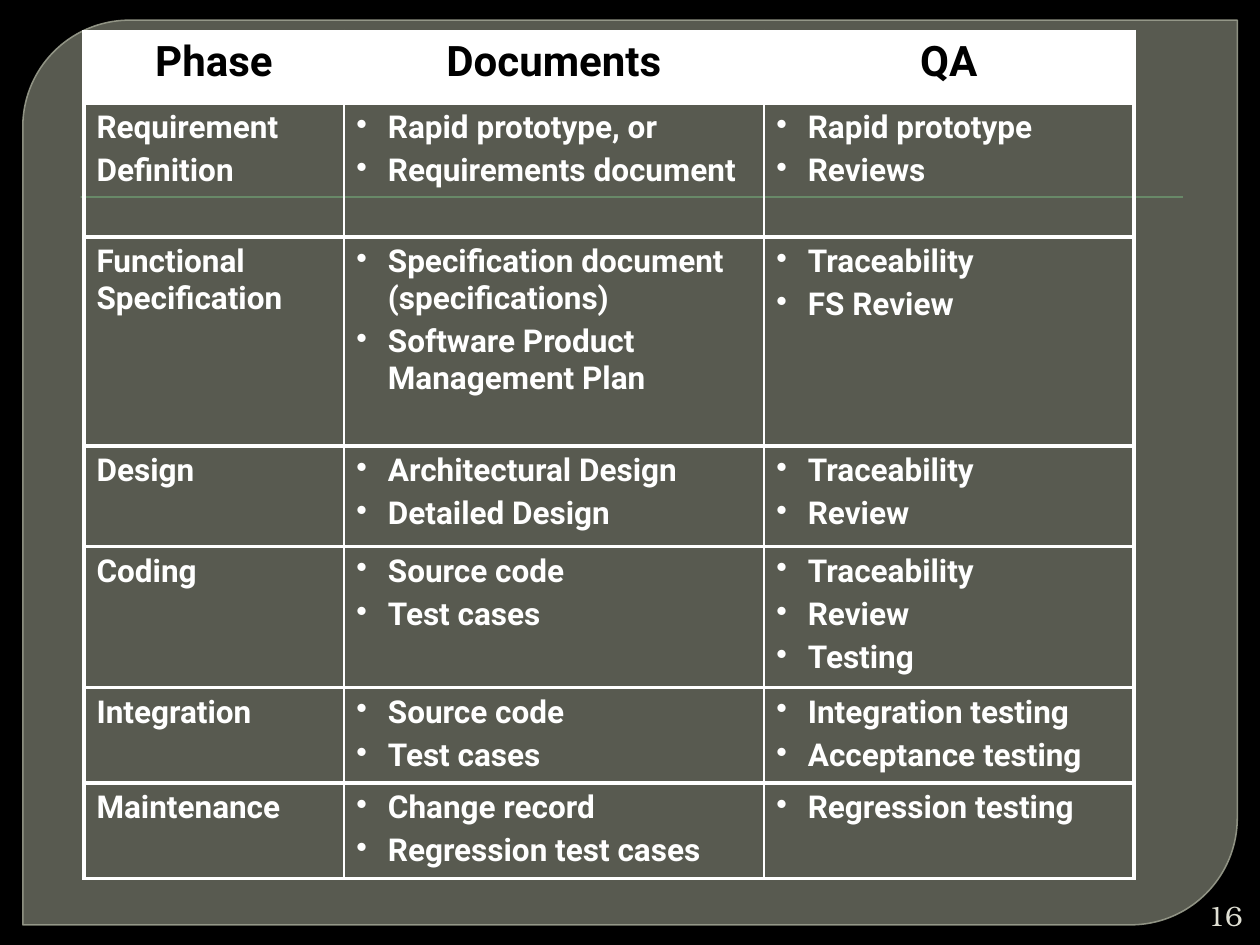
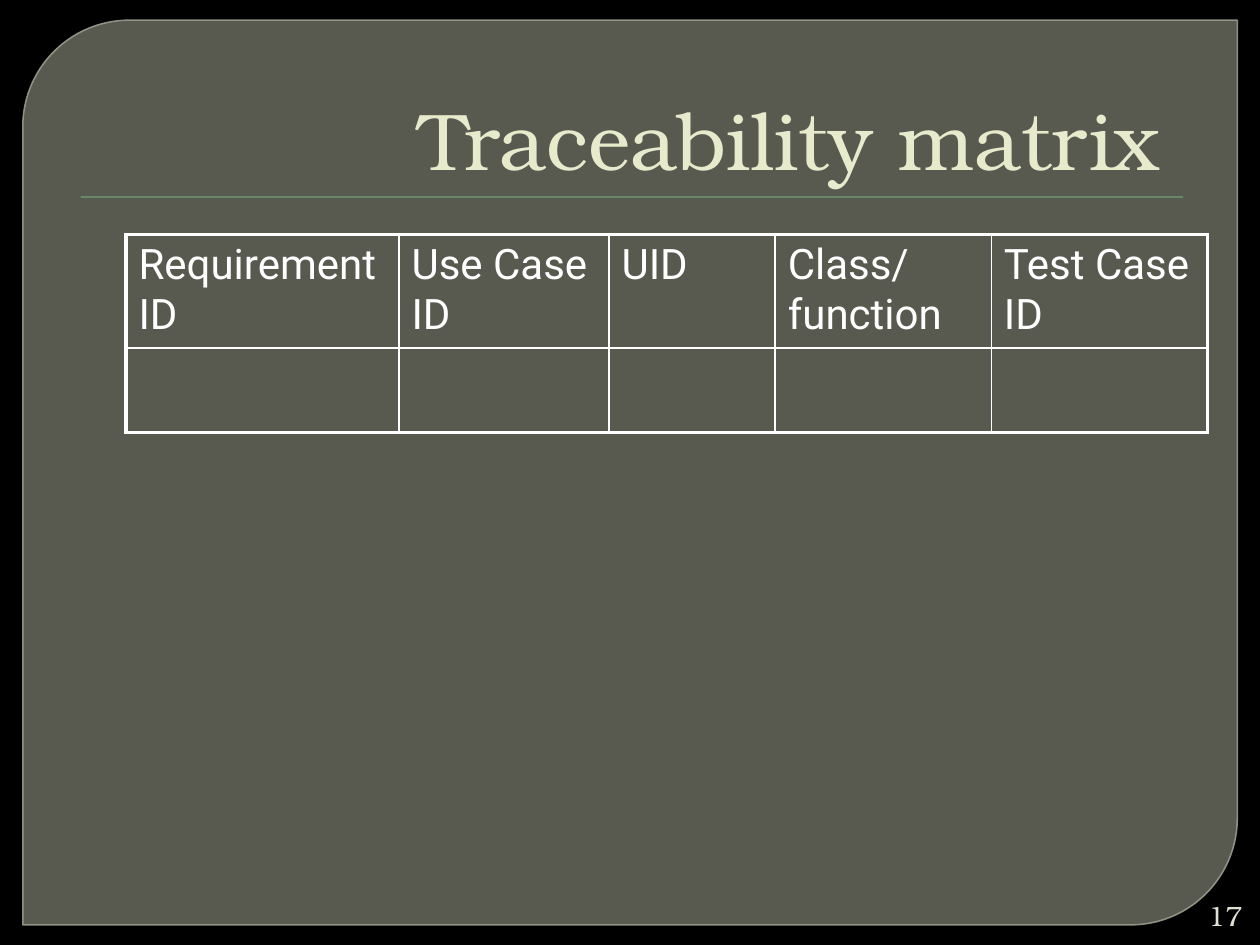
from lxml import etree
from pptx import Presentation
from pptx.dml.color import RGBColor
from pptx.enum.shapes import MSO_SHAPE
from pptx.enum.text import MSO_ANCHOR, MSO_AUTO_SIZE, PP_ALIGN
from pptx.oxml.ns import qn
from pptx.util import Pt

LEFT, CENTER, RIGHT = PP_ALIGN.LEFT, PP_ALIGN.CENTER, PP_ALIGN.RIGHT
MIDDLE, BOTTOM = MSO_ANCHOR.MIDDLE, MSO_ANCHOR.BOTTOM
NO_AUTOFIT = MSO_AUTO_SIZE.NONE
PANEL_SHAPE, RULE_SHAPE = MSO_SHAPE.ROUND_2_DIAG_RECTANGLE, MSO_SHAPE.RECTANGLE

BLACK = RGBColor(0x00, 0x00, 0x00)
WHITE = RGBColor(0xFF, 0xFF, 0xFF)
PANEL_FILL = RGBColor(0x88, 0x8B, 0x7B)
PANEL_LINE = RGBColor(0x9D, 0xA0, 0x90)
RULE_GREEN = RGBColor(0x72, 0xA3, 0x76)
TITLE_CREAM = RGBColor(0xE7, 0xEA, 0xCB)
NUMBER_GREY = RGBColor(0xE0, 0xE0, 0xD4)

BODY_FONT = "Roboto"
TITLE_FONT = "TeX Gyre Bonum"
THICK, THIN = 2.25, 1


def write_text(frame, text, font=BODY_FONT, size=18, color=WHITE, bold=False,
               align=LEFT, space_before=0, bullet=False):
    """Write each line of text as one paragraph."""
    frame.word_wrap = True
    for index, line in enumerate(text.split("\n")):
        paragraph = frame.paragraphs[0] if index == 0 else frame.add_paragraph()
        paragraph.alignment = align
        paragraph.space_before = Pt(space_before)
        run = paragraph.add_run()
        run.text = line
        run.font.name = font
        run.font.size = Pt(size)
        run.font.bold = bold
        run.font.color.rgb = color
        if bullet:
            properties = paragraph._p.get_or_add_pPr()
            properties.set("marL", str(Pt(18)))
            properties.set("indent", str(Pt(-18)))
            etree.SubElement(properties, qn("a:buChar"), char="•")


def add_grid(slide, left, top, widths, heights, inner_row_line):
    """Add an unfilled table with a thick frame and thin column lines."""
    table = slide.shapes.add_table(len(heights), len(widths), Pt(left), Pt(top),
                                   Pt(sum(widths)), Pt(sum(heights))).table
    table.first_row = table.horz_banding = False
    for column, width in zip(table.columns, widths):
        column.width = Pt(width)
    for row_index, height in enumerate(heights):
        table.rows[row_index].height = Pt(height)
        for column_index in range(len(widths)):
            cell = table.cell(row_index, column_index)
            edges = {
                "a:lnL": THICK if column_index == 0 else THIN,
                "a:lnR": THICK if column_index == len(widths) - 1 else THIN,
                "a:lnT": THICK if row_index == 0 else inner_row_line,
                "a:lnB": THICK if row_index == len(heights) - 1 else inner_row_line,
            }
            properties = cell._tc.get_or_add_tcPr()
            for tag, width in edges.items():
                line = etree.SubElement(properties, qn(tag), w=str(Pt(width)))
                fill = etree.SubElement(line, qn("a:solidFill"))
                etree.SubElement(fill, qn("a:srgbClr"), val=str(WHITE))
            cell.fill.background()
    return table


presentation = Presentation()
presentation.slide_width = Pt(720)
presentation.slide_height = Pt(540)
title_only, blank = presentation.slide_layouts[5], presentation.slide_layouts[6]
phases_slide = presentation.slides.add_slide(blank)
matrix_slide = presentation.slides.add_slide(title_only)

# Shared background, panel and rule, moved to the slide master
master = presentation.slide_master
master.background.fill.solid()
master.background.fill.fore_color.rgb = BLACK

panel = phases_slide.shapes.add_shape(PANEL_SHAPE, Pt(13), Pt(11.5), Pt(694), Pt(517))
panel.adjustments[0] = 0.118
panel.adjustments[1] = 0
panel.fill.solid()
panel.fill.fore_color.rgb = PANEL_FILL
panel.line.color.rgb = PANEL_LINE
panel.line.width = Pt(0.87)
colors = panel.element.spPr.iter(qn("a:srgbClr"))
for color, opacity in zip(list(colors), (65, 88)):
    etree.SubElement(color, qn("a:alpha"), val=str(opacity * 1000))

rule = phases_slide.shapes.add_shape(RULE_SHAPE, Pt(46), Pt(112.2), Pt(630), Pt(0.8))
rule.fill.solid()
rule.fill.fore_color.rgb = RULE_GREEN
rule.line.fill.background()

for position, shape in enumerate((panel, rule), start=2):
    shape.shadow.inherit = False
    master.shapes.element.insert(position, shape.element)

# Phases, their documents and quality assurance
phases = [
    ("Phase", "Documents", "QA"),
    ("Requirement\nDefinition", "Rapid prototype, or\nRequirements document",
     "Rapid prototype\nReviews"),
    ("Functional Specification",
     "Specification document (specifications)\nSoftware Product Management Plan",
     "Traceability\nFS Review"),
    ("Design", "Architectural Design\nDetailed Design", "Traceability\nReview"),
    ("Coding", "Source code\nTest cases", "Traceability\nReview\nTesting"),
    ("Integration", "Source code\nTest cases",
     "Integration testing\nAcceptance testing"),
    ("Maintenance", "Change record\nRegression test cases", "Regression testing"),
]
phase_table = add_grid(phases_slide, 48, 18, (148.5, 240, 211.5),
                       (41, 76.5, 119.5, 57.5, 80.5, 54.5, 54.5), THICK)
for row_index, row in enumerate(phases):
    for column_index, text in enumerate(row):
        cell = phase_table.cell(row_index, column_index)
        if row_index == 0:
            cell.fill.solid()
            cell.fill.fore_color.rgb = WHITE
            write_text(cell.text_frame, text, size=24, color=BLACK, bold=True,
                       align=CENTER, space_before=4.8)
        else:
            write_text(cell.text_frame, text, bold=True, space_before=3.6,
                       bullet=column_index > 0)

# Traceability matrix
title = matrix_slide.shapes.title
title.left, title.top, title.width, title.height = Pt(36), Pt(20), Pt(648), Pt(90)
title.text_frame.auto_size = NO_AUTOFIT
title.text_frame.vertical_anchor = BOTTOM
write_text(title.text_frame, "Traceability matrix ", font=TITLE_FONT, size=46,
           color=TITLE_CREAM, align=RIGHT)

matrix_headings = ("Requirement ID", "Use Case ID", "UID", "Class/ function",
                   "Test Case ID")
matrix_table = add_grid(matrix_slide, 72, 134, (156, 120, 95, 123.5, 123.5),
                        (65, 48), THIN)
for column_index, heading in enumerate(matrix_headings):
    write_text(matrix_table.cell(0, column_index).text_frame, heading, size=24,
               space_before=4.8)

# Slide numbers
for number, slide in enumerate(presentation.slides, start=16):
    number_box = slide.shapes.add_textbox(Pt(680.5), Pt(512.5), Pt(36.5), Pt(21.5))
    number_box.text_frame.vertical_anchor = MIDDLE
    write_text(number_box.text_frame, str(number), font=TITLE_FONT, size=16,
               color=NUMBER_GREY, align=RIGHT)

presentation.save("out.pptx")
